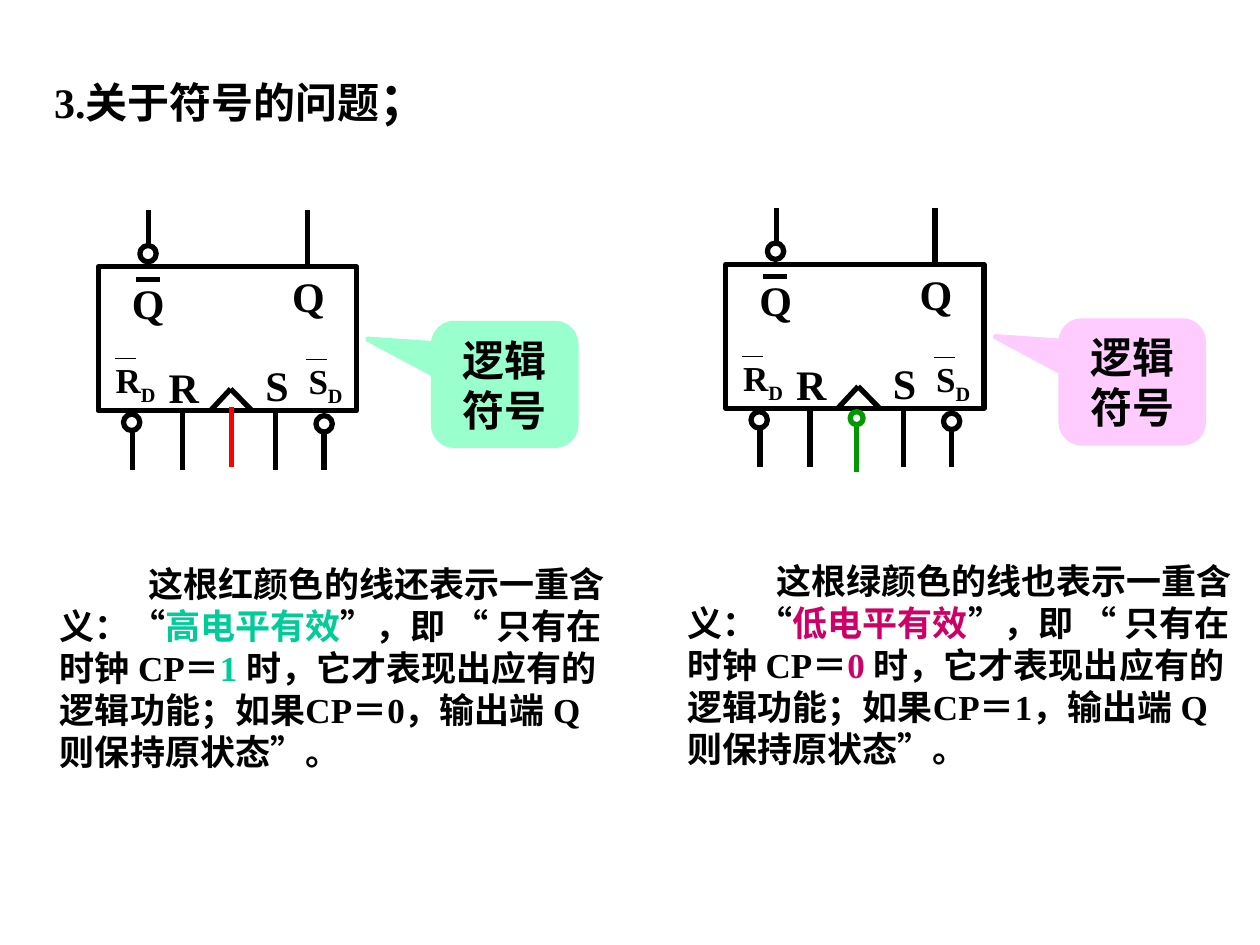
import pptx
import pptx.dml.color
import pptx.enum.shapes
import pptx.enum.text
import pptx.oxml.xmlchemy
import pptx.util

BLACK = "000000"
CENTRE = pptx.enum.text.PP_ALIGN.CENTER
MIDDLE = pptx.enum.text.MSO_ANCHOR.MIDDLE
BOTTOM = pptx.enum.text.MSO_ANCHOR.BOTTOM
PRESETS = pptx.enum.shapes.MSO_SHAPE

BUBBLES = [(0.84, -0.43), (0.51, 2.97), (4.39, 3.0)]
PINS = [
    (1.02, -1.14, -0.46),
    (4.22, -1.14, 0.05),
    (0.69, 3.3, 4.09),
    (1.7, 2.95, 4.09),
    (3.58, 2.9, 4.09),
    (4.55, 3.3, 4.09),
]
LABELS = [
    ("Q", 3.66, -0.05),
    ("Q", 0.43, 0.08),
    ("R", 1.17, 1.78),
    ("S", 3.12, 1.75),
]
RESET_LABELS = [("R", 0.1, 1.73), ("S", 3.99, 1.75)]
OVERBARS = [(0.76, 1.24, 0.25, 3), (0.33, 0.76, 1.85, 0.75), (4.19, 4.62, 1.87, 0.75)]
CLOCK_WEDGE = [(2.26, 2.9), (2.67, 2.46), (3.1, 2.9)]


def rgb(value):
    """Return the colour for a hex string."""
    return pptx.dml.color.RGBColor.from_string(value)


def lengths(*values):
    """Return centimetre values as lengths."""
    return [pptx.util.Cm(value) for value in values]


def write_text(shape, runs, size=24, align=None, anchor=None, indent=None):
    """Fill a shape with one paragraph of (text, format) runs."""
    frame = shape.text_frame
    frame.word_wrap = True
    if anchor is not None:
        frame.vertical_anchor = anchor
    paragraph = frame.paragraphs[0]
    if align is not None:
        paragraph.alignment = align
    if indent is not None:
        properties = paragraph._p.get_or_add_pPr()
        properties.set("marL", "0")
        properties.set("indent", str(pptx.util.Cm(indent)))
    for text, style in runs:
        run = paragraph.add_run()
        run.text = text
        run.font.name = "Times New Roman"
        run.font.bold = True
        run.font.size = pptx.util.Pt(style.get("size", size))
        run.font.color.rgb = rgb(style.get("color", BLACK))
        if "baseline" in style:
            run.font._element.set("baseline", str(style["baseline"]))


def add_text(slide, left, top, width, height, runs, **style):
    """Add a text box."""
    box = slide.shapes.add_textbox(*lengths(left, top, width, height))
    write_text(box, runs, **style)


def add_preset(slide, kind, left, top, width, height, line=BLACK, fill=None):
    """Add an outlined preset shape."""
    shape = slide.shapes.add_shape(kind, *lengths(left, top, width, height))
    shape.shadow.inherit = False
    if fill:
        shape.fill.solid()
        shape.fill.fore_color.rgb = rgb(fill)
    else:
        shape.fill.background()
    shape.line.color.rgb = rgb(line)
    shape.line.width = pptx.util.Pt(3)
    return shape


def add_line(slide, start, end, color=BLACK, width=3):
    """Add a straight line between two points."""
    straight = pptx.enum.shapes.MSO_CONNECTOR.STRAIGHT
    connector = slide.shapes.add_connector(straight, *lengths(*start, *end))
    connector.line.color.rgb = rgb(color)
    connector.line.width = pptx.util.Pt(width)
    effects = pptx.oxml.xmlchemy.OxmlElement("a:effectLst")
    connector._element.spPr.append(effects)


def add_flip_flop(slide, x, y):
    """Draw the flip-flop symbol with its body's corner at x, y."""
    add_preset(slide, PRESETS.RECTANGLE, x, y, 5.21, 2.9)
    for left, top in BUBBLES:
        add_preset(slide, PRESETS.OVAL, x + left, y + top, 0.33, 0.33)
    for text, left, top in LABELS:
        add_text(slide, x + left, y + top, 1.3, 1.27, [(text, {})])
    for text, left, top in RESET_LABELS:
        runs = [(text, {}), ("D", {"baseline": -25000})]
        add_text(slide, x + left, y + top, 1.65, 1.22, runs, size=20)
    for pin, top, bottom in PINS:
        add_line(slide, (x + pin, y + top), (x + pin, y + bottom))
    for left, right, top, width in OVERBARS:
        add_line(slide, (x + left, y + top), (x + right, y + top), width=width)
    wedge = [(x + left, y + top) for left, top in CLOCK_WEDGE]
    for start, end in zip(wedge, wedge[1:]):
        add_line(slide, start, end)


def add_callout(slide, x, y, color):
    """Add the callout that names the symbol."""
    callout = add_preset(
        slide, PRESETS.ROUNDED_RECTANGULAR_CALLOUT, x, y, 2.87, 2.46, color, color
    )
    for index, value in enumerate((-0.96, -0.37, 0.17)):
        callout.adjustments[index] = value
    write_text(callout, [("逻辑符号", {})], align=CENTRE, anchor=MIDDLE)


def add_description(slide, x, y, line_name, adverb, level, active, idle, color):
    """Add the paragraph that explains the clock line."""
    accent = {"color": color}
    runs = [
        (f"这根{line_name}颜色的线{adverb}表示一重含义：“", {}),
        (f"{level}电平有效", accent),
        ("”，即 “ 只有在时钟 CP＝", {}),
        (f"{active} ", accent),
        (f"时，它才表现出应有的逻辑功能；如果CP＝{idle}，输出端 Q 则保持原状态”。", {}),
    ]
    add_text(slide, x, y, 11.79, 5, runs, size=20, anchor=BOTTOM, indent=1.79)


def main():
    """Build the slide and save it."""
    presentation = pptx.Presentation()
    presentation.slide_width, presentation.slide_height = lengths(25.4, 19.05)
    slide = presentation.slides.add_slide(presentation.slide_layouts[6])

    title = [("3.关于符号的问题", {}), ("；", {"size": 28})]
    add_text(slide, 0.84, 1.27, 23.29, 1.45, title)

    panels = [
        (1.98, 5.38, "99FFCC", ("红", "还", "高", 1, 0, "00CC99")),
        (14.63, 5.33, "FFCCFF", ("绿", "也", "低", 0, 1, "CC0066")),
    ]
    for x, y, callout_color, description in panels:
        add_callout(slide, x + 6.76, y + 1.14, callout_color)
        add_description(slide, x - 1.02, y + 5.31, *description)
        add_flip_flop(slide, x, y)

    x, y = panels[0][:2]
    add_line(slide, (x + 2.69, y + 2.82), (x + 2.69, y + 4.04), "FF0000")
    x, y = panels[1][:2]
    add_line(slide, (x + 2.64, y + 3), (x + 2.64, y + 4.19), "009900")
    add_preset(slide, PRESETS.OVAL, x + 2.51, y + 2.97, 0.26, 0.26, "009900", "FFFFFF")

    presentation.save("out.pptx")


if __name__ == "__main__":
    main()
